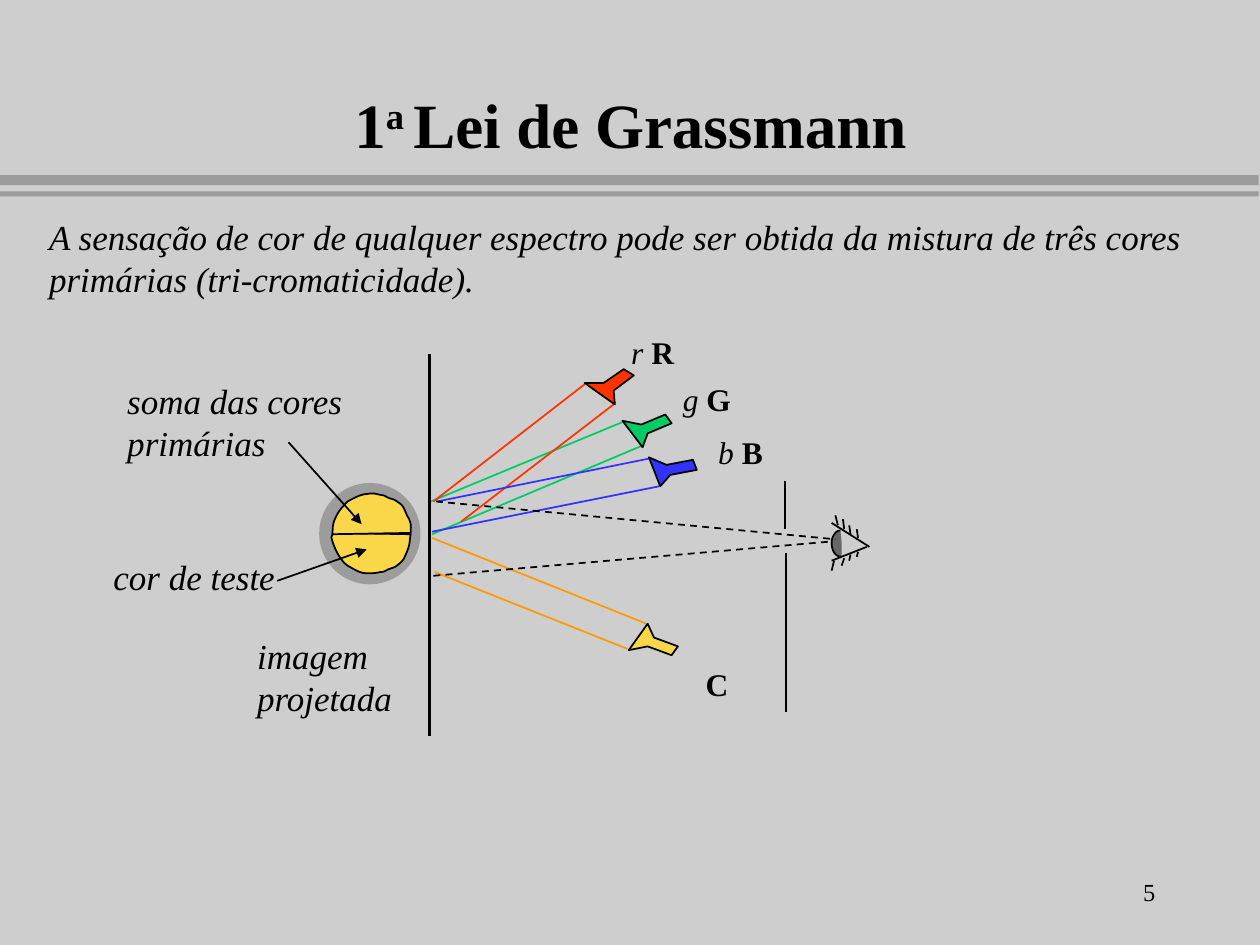
from pptx import Presentation
from pptx.dml.color import RGBColor
from pptx.enum.dml import MSO_LINE
from pptx.enum.shapes import MSO_CONNECTOR, MSO_SHAPE
from pptx.enum.text import MSO_ANCHOR, MSO_AUTO_SIZE, PP_ALIGN
from pptx.oxml.ns import qn
from pptx.util import Inches, Pt
from lxml import etree

STRAIGHT, DASH = MSO_CONNECTOR.STRAIGHT, MSO_LINE.DASH
RECTANGLE, OVAL = MSO_SHAPE.RECTANGLE, MSO_SHAPE.OVAL
TOP, MIDDLE, BOTTOM = MSO_ANCHOR.TOP, MSO_ANCHOR.MIDDLE, MSO_ANCHOR.BOTTOM
LEFT, CENTER, RIGHT = PP_ALIGN.LEFT, PP_ALIGN.CENTER, PP_ALIGN.RIGHT
NO_FIT = MSO_AUTO_SIZE.NONE

FONT = "Times New Roman"
BLACK, GRAY, DARK_GRAY, PAPER = "000000", "9C9C9C", "676767", "CECECE"
RED, GREEN, BLUE, ORANGE, YELLOW = "FF3300", "00CC66", "3333FF", "FF9900", "F9D749"
ITALIC, BOLD, PLAIN = {"italic": True}, {"bold": True}, {}

TITLE = [("1", BOLD), ("a ", BOLD), ("Lei de Grassmann", BOLD)]
STATEMENT = ("A sensação de cor de qualquer espectro pode ser obtida da mistura "
             "de três cores primárias (tri-cromaticidade).")
TEXTS = [
    ((0.34, 1.66, 9.4, 0.73), 20, LEFT, TOP, True, [[(STATEMENT, ITALIC)]]),
    ((4.96, 2.59, 0.45, 0.38), 18, LEFT, TOP, False, [[("r ", ITALIC), ("R", BOLD)]]),
    ((5.37, 2.97, 0.5, 0.38), 18, LEFT, TOP, False, [[("g ", ITALIC), ("G", BOLD)]]),
    ((5.65, 3.39, 0.47, 0.38), 18, LEFT, TOP, False, [[("b ", ITALIC), ("B", BOLD)]]),
    ((5.54, 5.23, 0.3, 0.38), 18, CENTER, TOP, False, [[("C", BOLD)]]),
    ((1.99, 4.99, 1.18, 0.73), 20, LEFT, TOP, False,
     [[("imagem", ITALIC)], [("projetada", ITALIC)]]),
    ((0.96, 2.96, 1.82, 0.73), 20, LEFT, TOP, False,
     [[("soma das cores", ITALIC)], [("primárias", ITALIC)]]),
    ((0.85, 4.36, 1.39, 0.41), 20, LEFT, TOP, False, [[("cor de teste", ITALIC)]]),
    ((8.91, 6.92, 0.31, 0.31), 14, RIGHT, MIDDLE, False, [[("5", PLAIN)]]),
]

RULES = [(0, 1.39, 9.99, 0.08), (0, 1.52, 9.99, 0.04)]
RAYS = [
    (GREEN, (4.94, 3.35, 3.42, 3.98)), (GREEN, (5.09, 3.54, 3.43, 4.24)),
    (RED, (4.64, 3.05, 3.44, 3.98)), (RED, (4.87, 3.21, 3.66, 4.14)),
    (BLUE, (5.15, 3.64, 3.47, 3.98)), (BLUE, (5.23, 3.86, 3.43, 4.22)),
    (ORANGE, (5.13, 4.95, 3.43, 4.27)), (ORANGE, (4.98, 5.15, 3.45, 4.54)),
]
LAMPS = [
    (GREEN, [(5.28, 3.29), (5.09, 3.37), (4.94, 3.34), (5.1, 3.55), (5.14, 3.44), (5.33, 3.36)]),
    (BLUE, [(5.5, 3.65), (5.29, 3.69), (5.15, 3.63), (5.24, 3.86), (5.32, 3.77), (5.53, 3.73)]),
    (RED, [(4.95, 2.93), (4.79, 3.04), (4.64, 3.04), (4.88, 3.21), (4.87, 3.1), (5.03, 2.98)]),
    (YELLOW, [(5.38, 5.13), (5.19, 5.06), (5.14, 4.95), (4.99, 5.16), (5.14, 5.13), (5.33, 5.2)]),
]
SCREEN = (3.41, 2.81, 3.41, 5.84)
APERTURE = [(6.23, 3.82, 6.23, 4.2), (6.24, 4.39, 6.24, 5.65)]
EYELIDS = [(6.9, 4.34, 6.6, 4.15), (6.88, 4.34, 6.6, 4.45)]
LASHES = [
    (6.63, 4.09, 6.65, 4.17), (6.69, 4.12, 6.7, 4.2),
    (6.74, 4.17, 6.75, 4.24), (6.8, 4.2, 6.81, 4.27),
    (6.62, 4.45, 6.6, 4.53), (6.7, 4.43, 6.68, 4.49),
    (6.81, 4.38, 6.8, 4.42), (6.75, 4.4, 6.74, 4.45),
]
SIGHT_LINES = [(3.46, 3.98, 6.63, 4.28), (3.44, 4.57, 6.57, 4.3)]
POINTERS = [(2.2, 4.61, 2.91, 4.36), (2.29, 3.51, 2.87, 4.16)]

IRIS = (6.6, 4.25, 0.07, 0.11)
EYEBALL = [(6.68, 4.42), (6.63, 4.42), (6.6, 4.37), (6.6, 4.31),
           (6.6, 4.26), (6.63, 4.21), (6.67, 4.21)]
PUPIL = (6.68, 4.31)
HALO = (2.54, 3.84, 0.79, 0.79)
TEST_HALF = [
    (3.26, 4.24), (3.25, 4.28), (3.26, 4.31), (3.23, 4.38), (3.2, 4.45), (3.2, 4.45),
    (3.15, 4.49), (3.12, 4.51), (3.1, 4.51), (3.08, 4.52), (3.06, 4.53), (3.05, 4.54),
    (3.02, 4.54), (2.98, 4.55), (2.96, 4.55), (2.91, 4.55), (2.85, 4.55), (2.8, 4.51),
    (2.76, 4.49), (2.72, 4.46), (2.72, 4.45), (2.69, 4.41), (2.66, 4.36), (2.64, 4.31),
    (2.63, 4.26), (2.64, 4.25), (2.64, 4.23), (2.64, 4.23),
]
SUM_HALF = [
    (3.26, 4.23), (3.26, 4.18), (3.27, 4.15), (3.23, 4.09), (3.2, 4.02), (3.2, 4.01),
    (3.15, 3.98), (3.13, 3.96), (3.1, 3.96), (3.08, 3.95), (3.06, 3.94), (3.05, 3.93),
    (3.03, 3.93), (2.98, 3.92), (2.96, 3.91), (2.92, 3.92), (2.86, 3.92), (2.8, 3.96),
    (2.76, 3.98), (2.73, 4.01), (2.72, 4.02), (2.69, 4.06), (2.66, 4.11), (2.64, 4.15),
    (2.64, 4.21), (2.64, 4.22), (2.64, 4.24), (2.64, 4.24),
]


def color(value):
    return RGBColor.from_string(value)


def paint(shape, fill, line):
    shape.shadow.inherit = False
    if fill:
        shape.fill.solid()
        shape.fill.fore_color.rgb = color(fill)
    else:
        shape.fill.background()
    if line:
        shape.line.color.rgb = color(line)
        shape.line.width = Pt(1)
    else:
        shape.line.fill.background()


def add_preset(page, kind, place, fill, line=None):
    paint(page.shapes.add_shape(kind, *map(Inches, place)), fill, line)


def add_outline(page, points, fill, line=BLACK, close=True):
    start, *others = [(Inches(x), Inches(y)) for x, y in points]
    builder = page.shapes.build_freeform(*start)
    builder.add_line_segments(others, close=close)
    paint(builder.convert_to_shape(), fill, line)


def curve(points, steps=6):
    smooth = [points[0]]
    for first in range(0, len(points) - 1, 3):
        controls = points[first:first + 4]
        for step in range(1, steps + 1):
            t = step / steps
            weights = ((1 - t) ** 3, 3 * t * (1 - t) ** 2, 3 * t * t * (1 - t), t ** 3)
            smooth.append(tuple(sum(w * point[axis] for w, point in zip(weights, controls))
                                for axis in (0, 1)))
    return smooth


def add_line(page, ends, ink=BLACK, width=1, dash=None, arrow=False):
    line = page.shapes.add_connector(STRAIGHT, *map(Inches, ends))
    line.line.color.rgb = color(ink)
    line.line.width = Pt(width)
    if dash:
        line.line.dash_style = dash
    if arrow:
        etree.SubElement(line.line._get_or_add_ln(), qn("a:tailEnd"), type="triangle")
    etree.SubElement(line._element.spPr, qn("a:effectLst"))


def write(box, paragraphs, size, align, anchor, wrap, inset=0.05):
    frame = box.text_frame
    margins = dict.fromkeys(
        ("margin_left", "margin_top", "margin_right", "margin_bottom"), Inches(inset))
    layout = {"auto_size": NO_FIT, "word_wrap": wrap, "vertical_anchor": anchor, **margins}
    for name, value in layout.items():
        setattr(frame, name, value)
    for index, spans in enumerate(paragraphs):
        para = frame.add_paragraph() if index else frame.paragraphs[0]
        para.alignment = align
        for text, style in spans:
            span = para.add_run()
            span.text = text
            span.font.color.rgb = color(BLACK)
            for name, value in {"name": FONT, "size": Pt(size), **style}.items():
                setattr(span.font, name, value)


def add_title(page):
    title = page.shapes.title
    title.left, title.top, title.width, title.height = map(Inches, (1.09, 0.08, 7.83, 1.25))
    write(title, [TITLE], 36, CENTER, BOTTOM, True, 0.04)
    para = title.text_frame.paragraphs[0]
    para.line_spacing = 0.9
    para.runs[1].font._element.set("baseline", "30000")


def main():
    deck = Presentation()
    deck.slide_width, deck.slide_height = Inches(10), Inches(7.5)
    page = deck.slides.add_slide(deck.slide_layouts[5])
    page.background.fill.solid()
    page.background.fill.fore_color.rgb = color(PAPER)
    for place in RULES:
        add_preset(page, RECTANGLE, place, GRAY)
    add_title(page)
    for ends in APERTURE + EYELIDS + LASHES:
        add_line(page, ends)
    for ink, ends in RAYS:
        add_line(page, ends, ink)
    add_line(page, SCREEN, width=2)
    for fill, points in LAMPS:
        add_outline(page, points, fill)
    add_preset(page, OVAL, IRIS, GRAY)
    add_outline(page, curve(EYEBALL) + [PUPIL], DARK_GRAY, None)
    add_outline(page, curve(EYEBALL), None, close=False)
    add_preset(page, OVAL, HALO, GRAY, GRAY)
    for half in (TEST_HALF, SUM_HALF):
        add_outline(page, curve(half), YELLOW)
    for ends in SIGHT_LINES:
        add_line(page, ends, dash=DASH)
    for ends in POINTERS:
        add_line(page, ends, arrow=True)
    for place, size, align, anchor, wrap, paragraphs in TEXTS:
        box = page.shapes.add_textbox(*map(Inches, place))
        write(box, paragraphs, size, align, anchor, wrap)
    deck.save("out.pptx")


if __name__ == "__main__":
    main()
